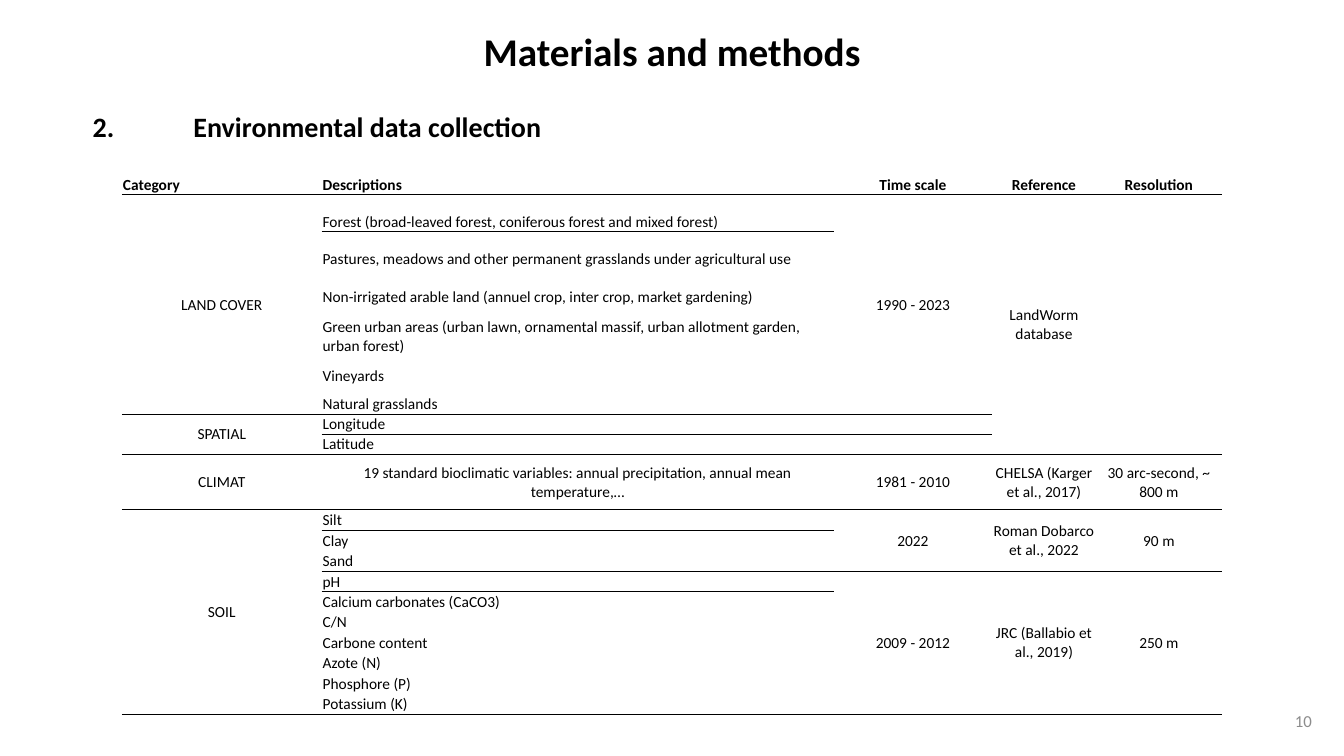
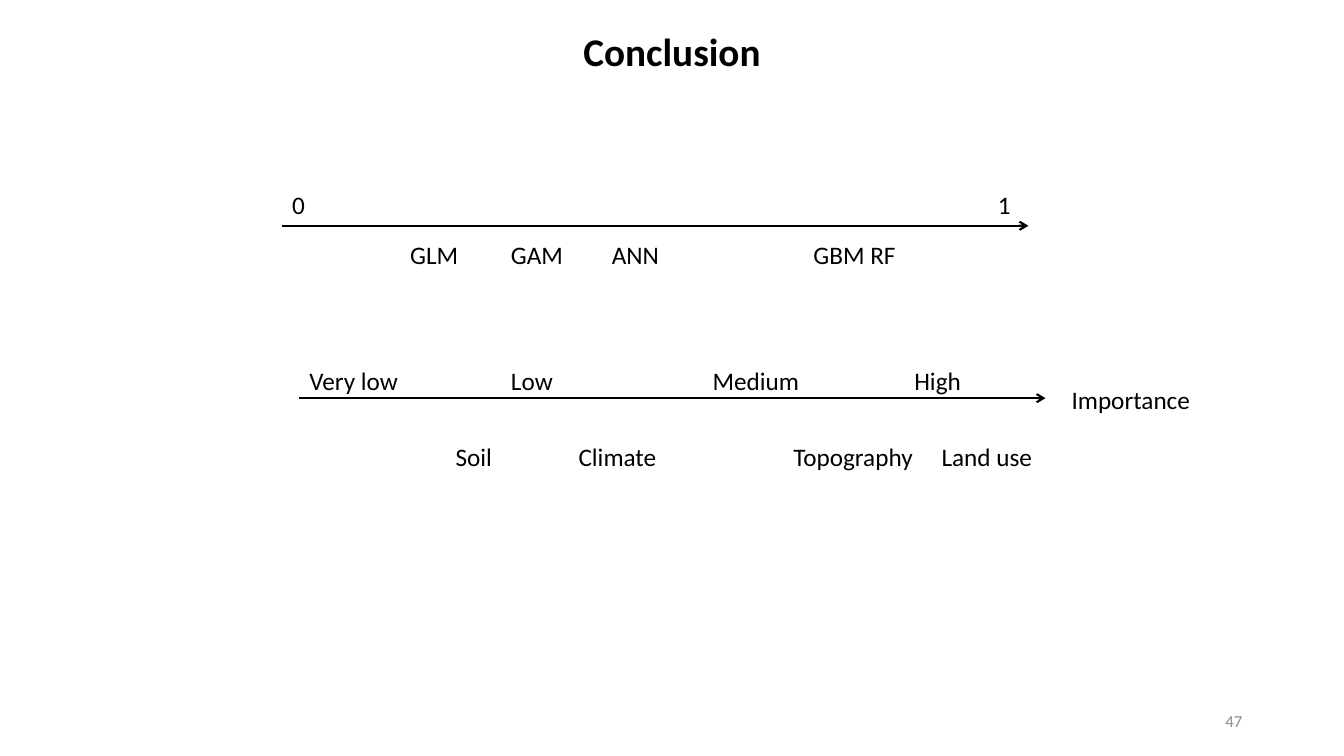
"""Build a data collection table slide and a conclusion slide with two axes."""
from lxml import etree
from pptx import Presentation
from pptx.dml.color import RGBColor
from pptx.enum.shapes import MSO_CONNECTOR
from pptx.enum.text import MSO_ANCHOR, MSO_AUTO_SIZE, PP_ALIGN
from pptx.oxml.ns import qn
from pptx.util import Pt

LEFT, CENTER, RIGHT = PP_ALIGN.LEFT, PP_ALIGN.CENTER, PP_ALIGN.RIGHT
TOP, MIDDLE, BOTTOM = MSO_ANCHOR.TOP, MSO_ANCHOR.MIDDLE, MSO_ANCHOR.BOTTOM
STRAIGHT = MSO_CONNECTOR.STRAIGHT
FIXED = MSO_AUTO_SIZE.NONE

SCALE = 9144
WIDE, HIGH = 1333, 750
INK, GREY = "000000", "8C8C8C"
PLAIN = "{2D5ABB26-0587-4C30-8999-92F81FD0307C}"

TITLE = {"size": Pt(28), "bold": True}
HEAD = {"size": Pt(20), "bold": True}
BODY = {"size": Pt(18), "bold": False}
NUMBER = {"size": Pt(12), "bold": False}
CELL = {"size": Pt(11), "bold": False}
TOPROW = {"size": Pt(11), "bold": True}

COLS = [198, 508, 157, 103, 125]
ROWS = [19, 37, 37, 37, 49, 30, 28, 19, 19, 55] + [203 / 10] * 10
HEADS = ["Category", "Descriptions", "Time scale", "Reference", "Resolution"]
ITEMS = [
    "Forest (broad-leaved forest, coniferous forest and mixed forest)",
    "Pastures, meadows and other permanent grasslands under agricultural use",
    "Non-irrigated arable land (annuel crop, inter crop, market gardening)",
    "Green urban areas (urban lawn, ornamental massif, urban allotment garden, "
    "urban forest)",
    "Vineyards", "Natural grasslands", "Longitude", "Latitude",
    "19 standard bioclimatic variables: annual precipitation, "
    "annual mean temperature,…",
    "Silt", "Clay", "Sand", "pH", "Calcium carbonates (CaCO3)", "C/N",
    "Carbone content", "Azote (N)", "Phosphore (P)", "Potassium (K)",
]
CLIMATE = 9
SPANS = [
    (1, 0, 6, "LAND COVER"), (1, 2, 6, "1990 - 2023"),
    (1, 3, 8, "LandWorm database"), (1, 4, 8, ""),
    (7, 0, 2, "SPATIAL"),
    (9, 0, 1, "CLIMAT"), (9, 2, 1, "1981 - 2010"),
    (9, 3, 1, "CHELSA (Karger et al., 2017)"),
    (9, 4, 1, "30 arc-second, ~ 800 m"),
    (10, 0, 10, "SOIL"), (10, 2, 3, "2022"),
    (10, 3, 3, "Roman Dobarco et al., 2022"), (10, 4, 3, "90 m"),
    (13, 2, 7, "2009 - 2012"), (13, 3, 7, "JRC (Ballabio et al., 2019)"),
    (13, 4, 7, "250 m"),
]
RULES = [(0, 0, 4), (6, 0, 2), (8, 0, 4), (9, 0, 4), (12, 1, 4), (19, 0, 4)]

AXES = [(280, 224), (297, 395)]
AXIS = 740
LABELS = [
    ((280, 183, 740), "0\t1", [700]),
    ((297, 233, 740), "\tGLM\tGAM\tANN\tGBM RF", [100, 200, 300, 500]),
    ((297, 358, 724), "Very low\tLow\tMedium\tHigh", [200, 400, 600]),
    ((1053, 376, 180), "Importance", []),
    ((297, 433, 877), "\tSoil\tClimate\tTopography\tLand use",
     [145, 267, 480, 627]),
]


def px(*sizes):
    return [round(size * SCALE) for size in sizes]


def rgb(code):
    return RGBColor.from_string(code)


def write(frame, text, style, align=LEFT, color=INK, tabs=()):
    para = frame.paragraphs[0]
    if tabs:
        stops = etree.SubElement(para._p.get_or_add_pPr(), qn("a:tabLst"))
        for stop in px(*tabs):
            etree.SubElement(stops, qn("a:tab"), pos=str(stop), algn="l")
    para.alignment = align
    run = para.add_run()
    run.text = text
    for name, value in {"name": "Calibri", **style}.items():
        setattr(run.font, name, value)
    run.font.color.rgb = rgb(color)


def set_frame(frame, anchor):
    for name, value in {"word_wrap": True, "auto_size": FIXED,
                        "vertical_anchor": anchor}.items():
        setattr(frame, name, value)


def add_text(slide, box, text, style, anchor=TOP, **look):
    frame = slide.shapes.add_textbox(*px(*box)).text_frame
    set_frame(frame, anchor)
    write(frame, text, style, **look)


def add_slide(deck, title, number, left):
    slide = deck.slides.add_slide(deck.slide_layouts[5])
    add_text(slide, (left, 695, 300, 40), number, NUMBER, MIDDLE,
             align=RIGHT, color=GREY)
    shape = slide.shapes.title
    shape.left, shape.top, shape.width, shape.height = px(0, 22, WIDE, 57)
    set_frame(shape.text_frame, TOP)
    write(shape.text_frame, title, TITLE, CENTER)
    return slide


def add_edge(cell, side):
    edge = etree.SubElement(cell._tc.get_or_add_tcPr(), qn("a:" + side),
                            w=str(Pt(0.5)))
    fill = etree.SubElement(edge, qn("a:solidFill"))
    etree.SubElement(fill, qn("a:srgbClr"), val=INK)


def fill_cell(cell, text, style, align, anchor):
    left, top, right, bottom = px(1, 1, 1, 0)
    for name, value in {"margin_left": left, "margin_top": top,
                        "margin_right": right, "margin_bottom": bottom,
                        "vertical_anchor": anchor}.items():
        setattr(cell, name, value)
    if text:
        write(cell.text_frame, text, style, align)
    para = cell.text_frame.paragraphs[0]._p
    etree.SubElement(para, qn("a:endParaRPr"), sz="1100")
    cell.fill.background()


def add_data(slide):
    box = px(121, 173, sum(COLS), sum(ROWS))
    table = slide.shapes.add_table(len(ROWS), len(COLS), *box).table
    table.first_row = table.horz_banding = False
    table._tbl.tblPr.find(qn("a:tableStyleId")).text = PLAIN
    for col, width in zip(table.columns, px(*COLS)):
        col.width = width
    for row, height in zip(table.rows, px(*ROWS)):
        row.height = height

    texts = {(0, c): text for c, text in enumerate(HEADS)}
    texts.update({(r, 1): text for r, text in enumerate(ITEMS, 1)})
    owner = {}
    for r, c, count, text in SPANS:
        texts[r, c] = text
        owner.update({(r + k, c): (r, c) for k in range(count)})
        if count > 1:
            table.cell(r, c).merge(table.cell(r + count - 1, c))

    for r, first, last in RULES:
        for c in range(first, last + 1):
            add_edge(table.cell(*owner.get((r, c), (r, c))), "lnB")
            if r + 1 < len(ROWS):
                below = owner.get((r + 1, c), (r + 1, c))
                add_edge(table.cell(*below), "lnT")

    for r in range(len(ROWS)):
        for c in range(len(COLS)):
            item = c == 1 and r != CLIMATE
            align = LEFT if item or (r, c) == (0, 0) else CENTER
            anchor = BOTTOM if item or r == 0 else MIDDLE
            fill_cell(table.cell(r, c), texts.get((r, c), ""),
                      CELL if r else TOPROW, align, anchor)


def add_axis(slide, left, top):
    line = slide.shapes.add_connector(STRAIGHT,
                                      *px(left, top, left + AXIS, top))
    line.line.color.rgb = rgb(INK)
    line.line.width = Pt(1.5)
    etree.SubElement(line.line._get_or_add_ln(), qn("a:tailEnd"), type="arrow")
    etree.SubElement(line._element.spPr, qn("a:effectLst"))


def main():
    deck = Presentation()
    deck.slide_width, deck.slide_height = px(WIDE, HIGH)

    slide = add_slide(deck, "Materials and methods", "10", 1011)
    add_text(slide, (82, 104, 534, 44), "2.\tEnvironmental data collection",
             HEAD, tabs=[100])
    add_data(slide)

    slide = add_slide(deck, "Conclusion", "47", 942)
    for left, top in AXES:
        add_axis(slide, left, top)
    for box, text, tabs in LABELS:
        add_text(slide, (*box, 40), text, BODY, tabs=tabs)

    deck.save("out.pptx")


if __name__ == "__main__":
    main()
